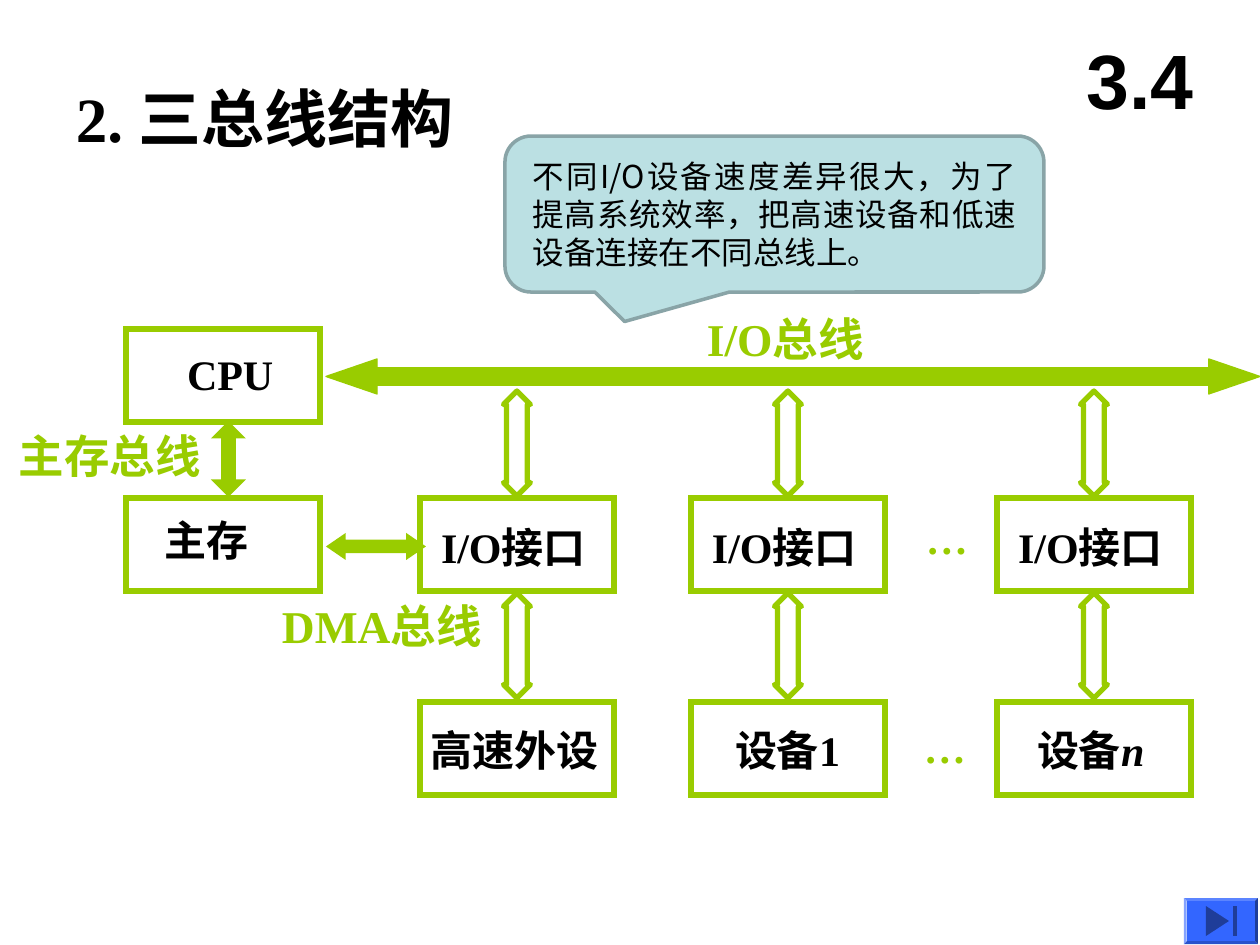
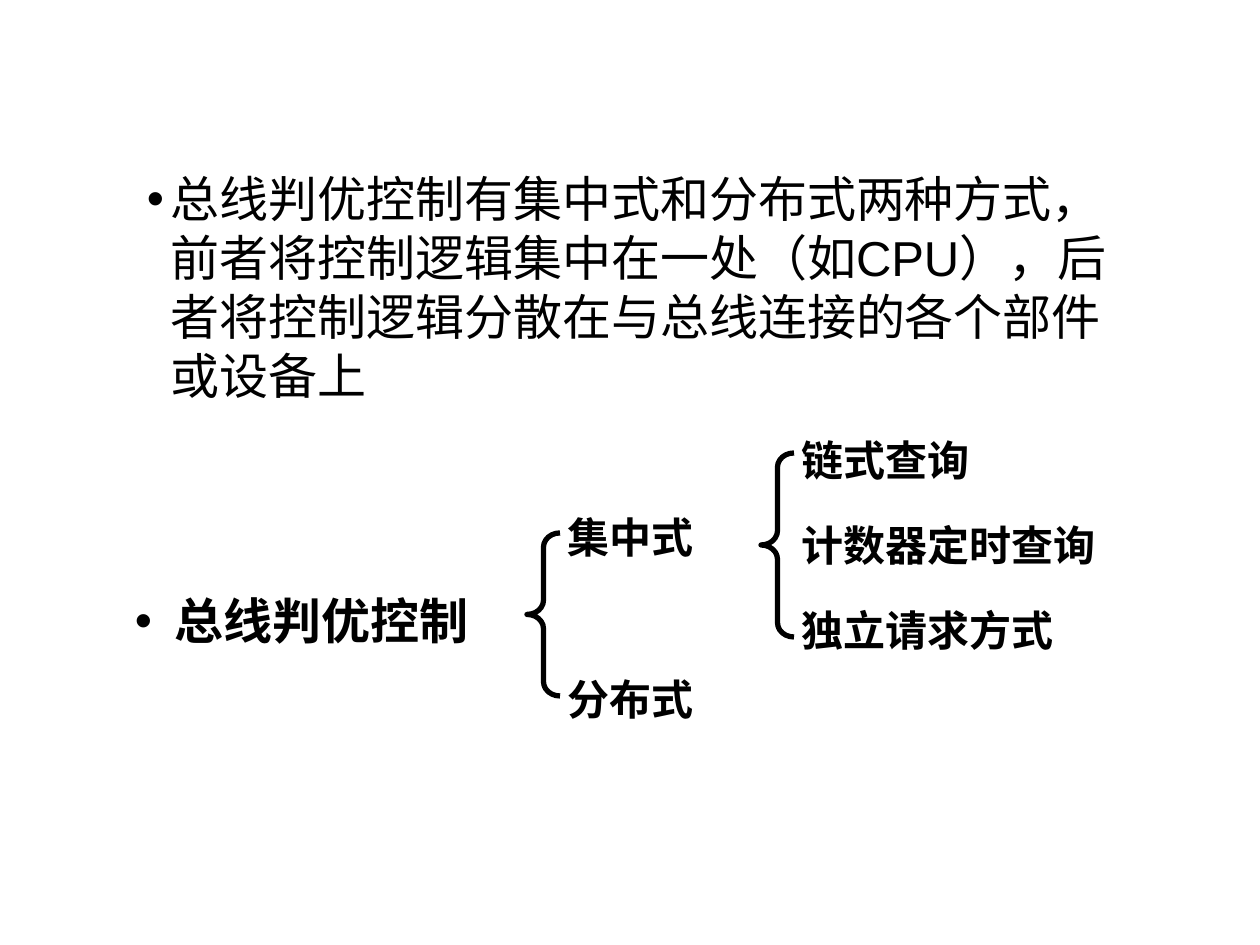
from lxml.etree import SubElement
from pptx import Presentation
from pptx.dml.color import RGBColor
from pptx.enum.shapes import MSO_SHAPE
from pptx.enum.text import MSO_ANCHOR, MSO_AUTO_SIZE, PP_ALIGN
from pptx.oxml.ns import qn
from pptx.util import Emu, Pt

BLACK = RGBColor(0x00, 0x00, 0x00)
GREEN = RGBColor(0x99, 0xCC, 0x00)
CALLOUT_FILL = RGBColor(0xBB, 0xE0, 0xE3)
CALLOUT_LINE = RGBColor(0x89, 0xA4, 0xA7)
BUTTON_BLUE = RGBColor(0x33, 0x66, 0xFF)
ICON_BLUE = RGBColor(0x1F, 0x3D, 0x99)

SERIF, SANS, CJK = "Times New Roman", "Arial", "Noto Sans CJK SC"
SLIDE_W, SLIDE_H = 1260, 945
BOX_W, BOX_H = 194, 93
ARROW_W, ARROW_H = 27, 105


def px(n):
    return Emu(round(n * 914400 / 126))


def place(sp, x, y, w, h):
    sp.left, sp.top, sp.width, sp.height = px(x), px(y), px(w), px(h)


def write(sp, runs, size, font=SERIF, color=BLACK, bold=True,
          align=PP_ALIGN.LEFT, anchor=MSO_ANCHOR.TOP, margins=(0, 0),
          hang=0, east=CJK):
    """Fill one paragraph; runs is a string or (string, italic) pairs."""
    tf = sp.text_frame
    tf.word_wrap = True
    tf.auto_size = MSO_AUTO_SIZE.NONE
    tf.vertical_anchor = anchor
    tf.margin_left = tf.margin_right = px(margins[0])
    tf.margin_top = tf.margin_bottom = px(margins[1])
    p = tf.paragraphs[0]
    p.alignment = align
    p.space_before = Pt(0)
    p.line_spacing = Pt(round(size * 1.2, 1))
    if hang:
        pPr = p._p.get_or_add_pPr()
        pPr.set("marL", str(px(hang)))
        pPr.set("indent", str(px(-hang)))
        SubElement(pPr, qn("a:buFont"), typeface=SANS)
        SubElement(pPr, qn("a:buChar"), char="•")
    for text, italic in [(runs, False)] if isinstance(runs, str) else runs:
        r = p.add_run()
        r.text = text
        r.font.size, r.font.bold, r.font.italic = Pt(size), bold, italic
        r.font.color.rgb = color
        r.font.name = font
        SubElement(r._r.get_or_add_rPr(), qn("a:ea"), typeface=east)


def label(s, runs, x, y, size=24, w=240, **style):
    sp = s.shapes.add_textbox(px(x), px(y), px(w), px(size * 2.1))
    write(sp, runs, size, **style)


def paint(sp, fill=None, line=None, width=3):
    sp.shadow.inherit = False
    if fill is None:
        sp.fill.background()
    else:
        sp.fill.solid()
        sp.fill.fore_color.rgb = fill
    if line is None:
        sp.line.fill.background()
    else:
        sp.line.color.rgb = line
        sp.line.width = Pt(width)


def shape(s, kind, x, y, w, h, adj=(), **look):
    sp = s.shapes.add_shape(kind, px(x), px(y), px(w), px(h))
    for i, value in enumerate(adj):
        sp.adjustments[i] = value
    paint(sp, **look)
    return sp


def box(s, x, y, text, dx, dy):
    sp = shape(s, MSO_SHAPE.RECTANGLE, x, y, BOX_W, BOX_H, line=GREEN)
    SubElement(sp.line._get_or_add_ln(), qn("a:miter"), lim="800000")
    label(s, text, x + dx, y + dy, w=BOX_W)


def device_column(s, x, device, dx):
    """Bus arrow, interface, arrow and device, stacked from left edge x."""
    interface_y, device_y = 498, 702
    box(s, x, interface_y, "I/O接口", 21, 24)
    box(s, x, device_y, device, dx, 23)
    for y in (interface_y - ARROW_H - 2, device_y - ARROW_H - 4):
        shape(s, MSO_SHAPE.UP_DOWN_ARROW, x + (BOX_W - ARROW_W) / 2, y,
              ARROW_W, ARROW_H, (0.5, 0.77), line=GREEN)


def buses(s):
    shape(s, MSO_SHAPE.LEFT_RIGHT_ARROW, 326, 359, 934, 35, (0.5, 1.46),
          fill=GREEN, line=GREEN, width=0.75)
    shape(s, MSO_SHAPE.UP_DOWN_ARROW, 211, 421, 35, 76, (0.5, 0.42),
          fill=GREEN)
    shape(s, MSO_SHAPE.LEFT_RIGHT_ARROW, 326, 533, 100, 27, (0.5, 0.73),
          fill=GREEN)
    for text, x, y in (("I/O总线", 707, 311), ("主存总线", 19, 428),
                       ("DMA总线", 282, 598)):
        label(s, text, x, y, 26, color=GREEN)


def callout(s, x, y, w, h):
    sp = shape(s, MSO_SHAPE.ROUNDED_RECTANGULAR_CALLOUT, x, y, w, h,
               (-0.278, 0.689, 0.167), fill=CALLOUT_FILL,
               line=CALLOUT_LINE, width=2)
    write(sp, "不同I/O设备速度差异很大，为了提高系统效率，"
          "把高速设备和低速设备连接在不同总线上。", 18, font=CJK, bold=False,
          align=PP_ALIGN.JUSTIFY, anchor=MSO_ANCHOR.MIDDLE, margins=(20, 6))


def end_button(s, x, y, w, h):
    shape(s, MSO_SHAPE.BEVEL, x, y, w, h, (0.06,), fill=BUTTON_BLUE)
    fb = s.shapes.build_freeform(px(x + 22), px(y + 8))
    fb.add_line_segments([(px(x + 45), px(y + 23)), (px(x + 22), px(y + 38))])
    paint(fb.convert_to_shape(), fill=ICON_BLUE)
    shape(s, MSO_SHAPE.RECTANGLE, x + 49, y + 8, 4, 30, fill=ICON_BLUE)


def three_bus_slide(prs):
    s = prs.slides.add_slide(prs.slide_layouts[5])
    place(s.shapes.title, 76, 79, 1046, 82)
    write(s.shapes.title, "2. 三总线结构", 36)
    buses(s)
    box(s, 126, 329, "CPU", 61, 20)
    box(s, 126, 498, "主存", 39, 17)
    device_column(s, 420, "高速外设", 11)
    device_column(s, 691, "设备1", 44)
    device_column(s, 997, [("设备", False), ("n", True)], 40)
    for x, y in ((926, 513), (924, 722)):
        label(s, "…", x, y, w=60, color=GREEN, east=SERIF)
    label(s, "3.4", 1061, 32, 44, w=158, font=SANS, align=PP_ALIGN.CENTER)
    end_button(s, 1184, 898, 74, 46)
    callout(s, 505, 136, 539, 156)


def branch(s, x, y, h, names, first_y, step):
    """A left brace at x, y with its names listed to the right."""
    shape(s, MSO_SHAPE.LEFT_BRACE, x, y, 33, h, (0.43, 0.5), line=BLACK)
    for i, name in enumerate(names):
        label(s, name, x + 41, first_y + i * step, w=320)


def arbitration_slide(prs):
    s = prs.slides.add_slide(prs.slide_layouts[1])
    title, body = s.placeholders
    title.element.getparent().remove(title.element)
    place(body, 134, 163, 995, 248)
    write(body, "总线判优控制有集中式和分布式两种方式，前者将控制逻辑集中在一处"
          "（如CPU），后者将控制逻辑分散在与总线连接的各个部件或设备上", 28,
          font=SANS, bold=False, margins=(13, 6), hang=24)
    label(s, "总线判优控制", 135, 591, 28, w=380, hang=40)
    branch(s, 527, 533, 163, ("集中式", "分布式"), 512, 162)
    branch(s, 761, 453, 184, ("链式查询", "计数器定时查询", "独立请求方式"),
           435, 85)


def main():
    prs = Presentation()
    prs.slide_width, prs.slide_height = px(SLIDE_W), px(SLIDE_H)
    three_bus_slide(prs)
    arbitration_slide(prs)
    prs.save("out.pptx")


if __name__ == "__main__":
    main()
